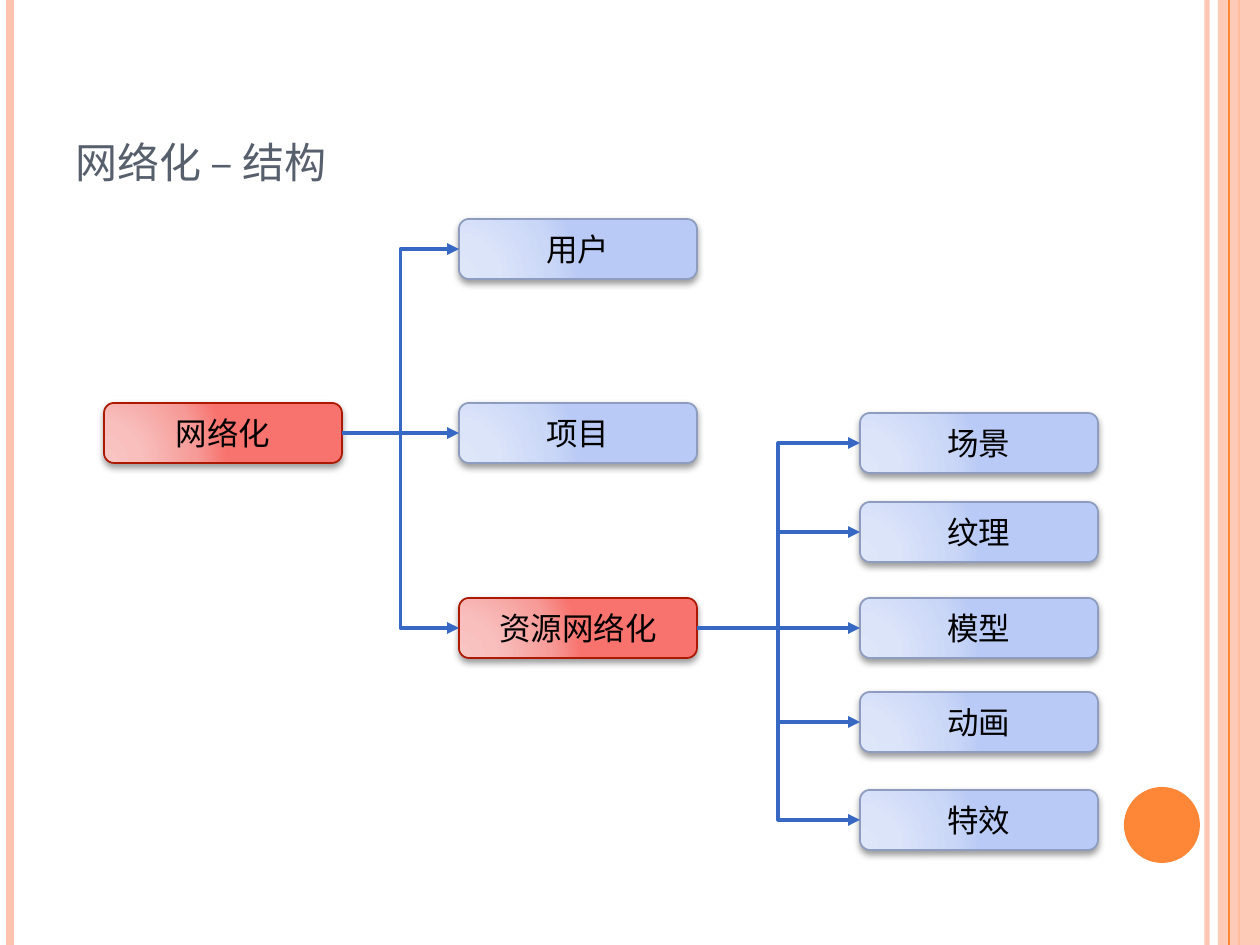
import pptx
import pptx.util
import pptx.dml.color
import pptx.enum.shapes
import pptx.enum.text
import pptx.oxml
import pptx.oxml.ns

RGBColor = pptx.dml.color.RGBColor
MSO_SHAPE = pptx.enum.shapes.MSO_SHAPE
MSO_CONNECTOR = pptx.enum.shapes.MSO_CONNECTOR
MSO_ANCHOR = pptx.enum.text.MSO_ANCHOR
PP_ALIGN = pptx.enum.text.PP_ALIGN
qn = pptx.oxml.ns.qn

PX = 914400 / 126
NS = pptx.oxml.ns.nsdecls("a")
PEACH = RGBColor(0xFE, 0xC3, 0xAE)
ORANGE = RGBColor(0xFE, 0x86, 0x37)
SLATE = RGBColor(0x57, 0x5F, 0x6D)
BLACK = RGBColor(0x00, 0x00, 0x00)
ARROW = RGBColor(0x36, 0x68, 0xC4)
RED_LINE = RGBColor(0xAC, 0x18, 0x00)
BLUE_LINE = RGBColor(0x8D, 0x9C, 0xBF)
RED_STOPS = [(0, RGBColor(0xF8, 0xC5, 0xC3)), (30, RGBColor(0xF8, 0xBF, 0xBD)),
             (75, RGBColor(0xF6, 0x9B, 0x98)), (100, RGBColor(0xF8, 0x73, 0x6E))]
BLUE_STOPS = [(0, RGBColor(0xDE, 0xE6, 0xFA)), (30, RGBColor(0xDB, 0xE4, 0xF9)),
              (75, RGBColor(0xCA, 0xD7, 0xF7)), (100, RGBColor(0xB8, 0xCA, 0xF5))]


def px(*values):
    return [pptx.util.Emu(round(v * PX)) for v in values]


def write(tf, text, size=18, color=BLACK, align=PP_ALIGN.CENTER,
          anchor=MSO_ANCHOR.MIDDLE, small_caps=False):
    tf.word_wrap = True
    tf.vertical_anchor = anchor
    p = tf.paragraphs[0]
    p.alignment = align
    r = p.add_run()
    r.text = text
    r.font.name = "Cambria"
    r.font.size = pptx.util.Pt(size)
    r.font.color.rgb = color
    if small_caps:
        r.font._element.set("cap", "small")


prs = pptx.Presentation()
prs.slide_width, prs.slide_height = px(1260, 945)
s = prs.slides.add_slide(prs.slide_layouts[5])

title = s.shapes.title
title.left, title.top, title.width, title.height = px(63, 38, 1029, 157)
write(title.text_frame, "网络化 – 结构", size=30, color=SLATE, align=PP_ALIGN.LEFT,
      anchor=MSO_ANCHOR.BOTTOM, small_caps=True)

for x, color, width, alpha in [(1207, PEACH, 3, 93), (10, PEACH, 4.5, 100),
                               (1239, ORANGE, 1.5, 100), (1218, PEACH, None, 87),
                               (1229, ORANGE, 0.75, 100), (1124, ORANGE, None, 100)]:
    if width:
        sp = s.shapes.add_connector(MSO_CONNECTOR.STRAIGHT, *px(x, 0, x, 945))
        sp.line.width = pptx.util.Pt(width)
        fill = sp.line.fill
        sp._element.spPr.append(pptx.oxml.parse_xml(f"<a:effectLst {NS}/>"))
    else:
        if color == PEACH:
            sp = s.shapes.add_shape(MSO_SHAPE.RECTANGLE, *px(x, 0, 42, 945))
        else:
            sp = s.shapes.add_shape(MSO_SHAPE.OVAL, *px(x, 787, 76, 76))
        sp.shadow.inherit = False
        sp.line.fill.background()
        fill = sp.fill
    fill.solid()
    fill.fore_color.rgb = color
    if alpha < 100:
        clr = next(sp._element.spPr.iter(qn("a:srgbClr")))
        clr.append(pptx.oxml.parse_xml(f'<a:alpha {NS} val="{alpha * 1000}"/>'))

boxes = {}
for text, x, y, parent in [("网络化", 104, 403, None),
                           ("用户", 459, 219, "网络化"),
                           ("项目", 459, 403, "网络化"),
                           ("资源网络化", 459, 598, "网络化"),
                           ("场景", 860, 413, "资源网络化"),
                           ("纹理", 860, 502, "资源网络化"),
                           ("模型", 860, 598, "资源网络化"),
                           ("动画", 860, 692, "资源网络化"),
                           ("特效", 860, 790, "资源网络化")]:
    is_branch = text in ("网络化", "资源网络化")
    sp = s.shapes.add_shape(MSO_SHAPE.ROUNDED_RECTANGLE, *px(x, y, 238, 60))
    boxes[text] = sp
    sp.line.color.rgb = RED_LINE if is_branch else BLUE_LINE
    sp.line.width = pptx.util.Pt(1)
    sp.fill.gradient()
    spPr = sp._element.spPr
    stops = "".join(f'<a:gs pos="{pos * 1000}"><a:srgbClr val="{color}"/></a:gs>'
                    for pos, color in (RED_STOPS if is_branch else BLUE_STOPS))
    spPr.replace(spPr.find(qn("a:gradFill")), pptx.oxml.parse_xml(
        f'<a:gradFill {NS} rotWithShape="1"><a:gsLst>{stops}</a:gsLst><a:path path="circle">'
        '<a:fillToRect l="5000" t="100000" r="120000" b="10000"/></a:path></a:gradFill>'))
    sp.shadow.inherit = False
    spPr.find(qn("a:effectLst")).append(pptx.oxml.parse_xml(
        f'<a:outerShdw {NS} blurRad="50800" dist="25400" dir="5400000" rotWithShape="0">'
        '<a:srgbClr val="000000"><a:alpha val="40000"/></a:srgbClr></a:outerShdw>'))
    write(sp.text_frame, text)
    if parent:
        c = s.shapes.add_connector(MSO_CONNECTOR.ELBOW, 0, 0, 0, 0)
        c.begin_connect(sp, 1)
        c.end_connect(boxes[parent], 3)
        c.line.color.rgb = ARROW
        c.line.width = pptx.util.Pt(2.25)
        c.line._get_or_add_ln().append(pptx.oxml.parse_xml(f'<a:headEnd {NS} type="triangle"/>'))
        c._element.spPr.append(pptx.oxml.parse_xml(f"<a:effectLst {NS}/>"))

prs.save("out.pptx")
